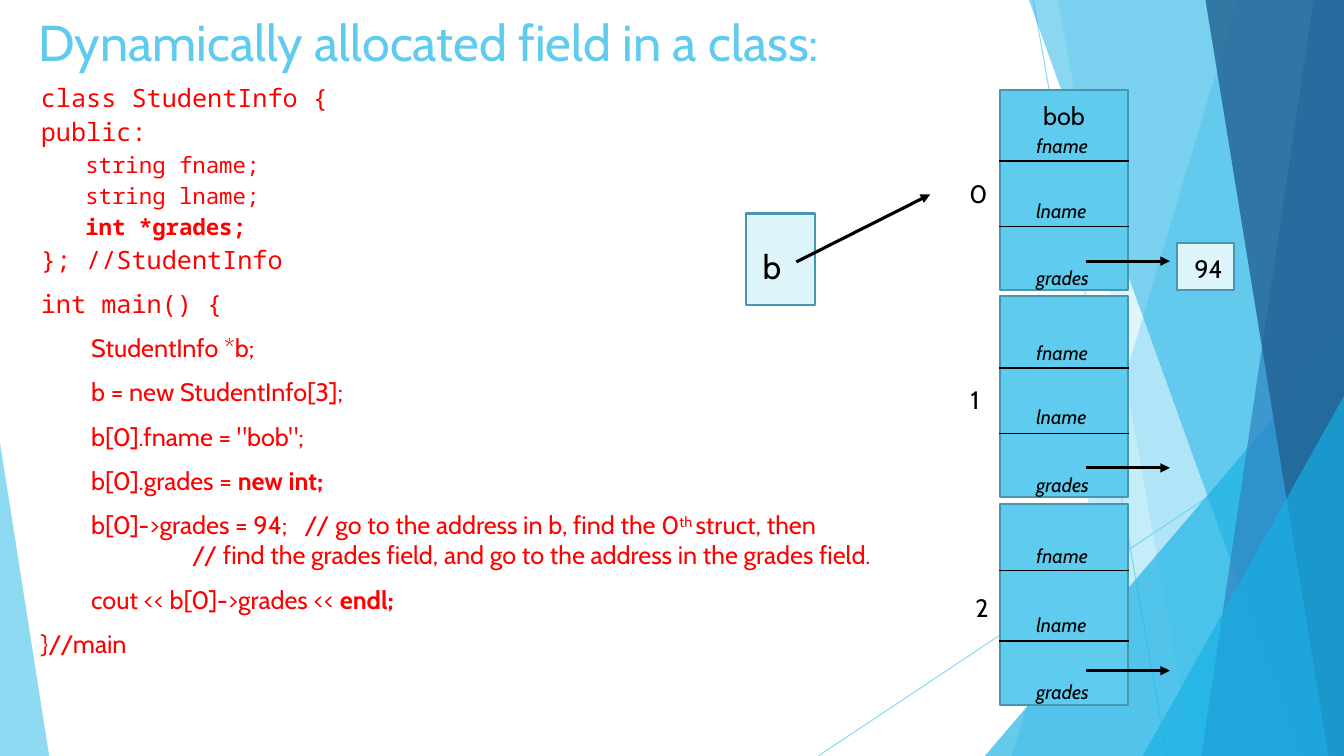
import pptx
import pptx.util
import pptx.dml.color
import pptx.enum.shapes
import pptx.enum.text
import pptx.oxml.ns
import lxml.etree

Cm = pptx.util.Cm
Pt = pptx.util.Pt
qn = pptx.oxml.ns.qn
KIND = pptx.enum.shapes.MSO_SHAPE

HUES = {
    "sky": "5FCBEF", "cyan": "17B0E4", "blue": "2E83C3", "navy": "226292",
    "pale": "DFF5FC", "edge": "4696B1", "red": "FF0000", "black": "000000",
}
WIDE, HIGH = 33.87, 19.05
SANS, MONO = "Cabin", "Noto Sans Mono"
TAB = 1.27

BANDS = [
    (31.19, 25.5, "sky", 36),
    (26.67, 30.05, "sky", 20),
    (25.93, 32.79, "cyan", 50),
    (33.1, 30.28, "blue", 70),
    (30.38, 33.48, "navy", 80),
]

CODE = [
    (MONO, 18, 0, 3, [("class StudentInfo {", "")]),
    (MONO, 18, 0, 3, [("public:", "")]),
    (MONO, 16, 1.12, 3, [("string fname;", "")]),
    (MONO, 16, 1.12, 3, [("string lname;", "")]),
    (MONO, 16, 1.12, 3, [("int *grades;", "bold")]),
    (MONO, 18, 0, 3, [("}; //StudentInfo", "")]),
    (MONO, 18, 0, 10, [("int main() {", "")]),
    (SANS, 18, 0, 10, [("\tStudentInfo *b;", "")]),
    (SANS, 18, 0, 10, [("\tb = new StudentInfo[3];", "")]),
    (SANS, 18, 0, 10, [("\tb[0].fname = \"bob\";", "")]),
    (SANS, 18, 0, 10, [("\tb[0].grades = ", ""), ("new int;", "bold")]),
    (SANS, 18, 0, 10, [
        ("\tb[0]->grades = 94;   // go to the address in b, find the 0", ""),
        ("th ", "super"),
        ("struct, then ", ""),
        ("", "break"),
        ("\t\t\t// find the grades field, and go to the address in the grades field.", ""),
    ]),
    (SANS, 18, 0, 10, [("\tcout << b[0]->grades << ", ""), ("endl;", "bold")]),
    (SANS, 18, 0, 10, [("}//main", "")]),
]

CARDS = [
    ("0", 2.26, 24.18, 0),
    ("1", 7.47, 24.21, 0),
    ("2", 12.7, 24.33, 0.12),
]


def tint(hue):
    return pptx.dml.color.RGBColor.from_string(HUES[hue])


def fade(shape, share):
    for node in shape._element.spPr.iter(qn("a:srgbClr")):
        alpha = lxml.etree.SubElement(node, qn("a:alpha"))
        alpha.set("val", str(share * 1000))


def paint(shape, hue, edge=None, share=100):
    shape.shadow.inherit = False
    shape.fill.solid()
    shape.fill.fore_color.rgb = tint(hue)
    if edge:
        shape.line.color.rgb = tint(edge)
        shape.line.width = Pt(1.5)
    else:
        shape.line.fill.background()
    if share < 100:
        fade(shape, share)


def add_line(slide, x1, y1, x2, y2, width, hue="black", share=100, arrow=False):
    line = slide.shapes.add_connector(
        pptx.enum.shapes.MSO_CONNECTOR.STRAIGHT, Cm(x1), Cm(y1), Cm(x2), Cm(y2))
    line.line.color.rgb = tint(hue)
    line.line.width = Pt(width)
    if arrow:
        tip = lxml.etree.SubElement(line.line._get_or_add_ln(), qn("a:tailEnd"))
        tip.set("type", "triangle")
    if share < 100:
        fade(line, share)
    lxml.etree.SubElement(line._element.spPr, qn("a:effectLst"))


def add_band(slide, top, base, hue, share):
    pen = slide.shapes.build_freeform(Cm(top), 0)
    pen.add_line_segments(
        [(Cm(WIDE), 0), (Cm(WIDE), Cm(HIGH)), (Cm(base), Cm(HIGH))], close=True)
    paint(pen.convert_to_shape(), hue, share=share)


def add_wedge(slide, x, y, w, peak, hue, share):
    wedge = slide.shapes.add_shape(
        KIND.ISOSCELES_TRIANGLE, Cm(x), Cm(y), Cm(w), Cm(HIGH - y))
    wedge.adjustments[0] = peak
    paint(wedge, hue, share=share)


def add_box(slide, x, y, w, h, hue):
    box = slide.shapes.add_shape(KIND.RECTANGLE, Cm(x), Cm(y), Cm(w), Cm(h))
    paint(box, hue, "edge")


def add_frame(slide, x, y, w, h, wrap):
    frame = slide.shapes.add_textbox(Cm(x), Cm(y), Cm(w), Cm(h)).text_frame
    frame.word_wrap = wrap
    frame.vertical_anchor = pptx.enum.text.MSO_ANCHOR.TOP
    return frame


def add_run(para, text, size, hue, face=SANS):
    run = para.add_run()
    run.text = text
    run.font.name = face
    run.font.size = Pt(size)
    run.font.color.rgb = tint(hue)
    return run


def add_label(slide, text, x, y, w, h, size=18, slant=False, wrap=False):
    frame = add_frame(slide, x, y, w, h, wrap)
    run = add_run(frame.paragraphs[0], text, size, "black")
    run.font.italic = slant


def add_tabs(para):
    stops = lxml.etree.SubElement(para._p.get_or_add_pPr(), qn("a:tabLst"))
    for step in range(1, 4):
        stop = lxml.etree.SubElement(stops, qn("a:tab"))
        stop.set("pos", str(Cm(TAB * step)))
        stop.set("algn", "l")


def add_code(slide):
    frame = add_frame(slide, 0.78, 1.94, 23.42, 15.42, True)
    for row, (face, size, left, gap, parts) in enumerate(CODE):
        para = frame.add_paragraph() if row else frame.paragraphs[0]
        para.space_before = Pt(gap if row else 0)
        para._p.get_or_add_pPr().set("marL", str(Cm(left)))
        if parts[0][0].startswith("\t"):
            add_tabs(para)
        for text, style in parts:
            if style == "break":
                para.add_line_break()
                continue
            run = add_run(para, text, size, "red", face)
            run.font.bold = style == "bold"
            if style == "super":
                run._r.get_or_add_rPr().set("baseline", "30000")


def add_card(slide, index, top, left, lift):
    add_box(slide, 25.2, top, 3.23, 5.06, "sky")
    for drop in (1.8 - lift, 3.45):
        add_line(slide, 25.18, top + drop, 28.45, top + drop, 1)
    for name, drop, w in (("fname", 0.99 - lift, 1.9), ("lname", 2.62, 1.9),
                          ("grades", 4.32, 1.98)):
        add_label(slide, name, 25.87, top + drop, w, 0.86, 14, True)
    add_label(slide, index, left, top + 2.1, 0.86, 1.02)
    flow = top + 4.32 - lift
    add_line(slide, 27.36, flow, 29.48, flow, 2.25, arrow=True)


def add_scene(slide):
    add_line(slide, 26.04, 0, 29.41, HIGH, 0.75, "sky", 70)
    add_line(slide, WIDE, 10.24, 20.62, HIGH, 0.75, "sky", 70)
    for band in BANDS[:2]:
        add_band(slide, *band)
    add_wedge(slide, 24.82, 8.46, 9.05, 1, "cyan", 66)
    for band in BANDS[2:]:
        add_band(slide, *band)
    add_wedge(slide, 28.8, 9.98, 5.07, 1, "cyan", 66)
    add_wedge(slide, 0, 11.15, 1.24, 0, "sky", 70)


def main():
    deck = pptx.Presentation()
    deck.slide_width, deck.slide_height = Cm(WIDE), Cm(HIGH)
    slide = deck.slides.add_slide(deck.slide_layouts[6])
    add_scene(slide)
    title = add_frame(slide, 0.71, 0.15, 26.19, 2.24, True)
    add_run(title.paragraphs[0], "Dynamically allocated field in a class:", 36, "sky")
    add_code(slide)
    add_box(slide, 18.8, 5.38, 1.75, 2.31, "pale")
    add_label(slide, "b", 18.97, 6.07, 0.99, 1.27, 24)
    for card in CARDS:
        add_card(slide, *card)
    add_label(slide, "bob", 26.04, 2.41, 3.07, 1.02, wrap=True)
    add_line(slide, 20.07, 6.6, 23.44, 4.9, 2.25, arrow=True)
    add_box(slide, 29.67, 6.12, 1.42, 1.19, "pale")
    add_label(slide, "94", 29.85, 6.25, 1.27, 1.02)
    deck.save("out.pptx")


if __name__ == "__main__":
    main()
